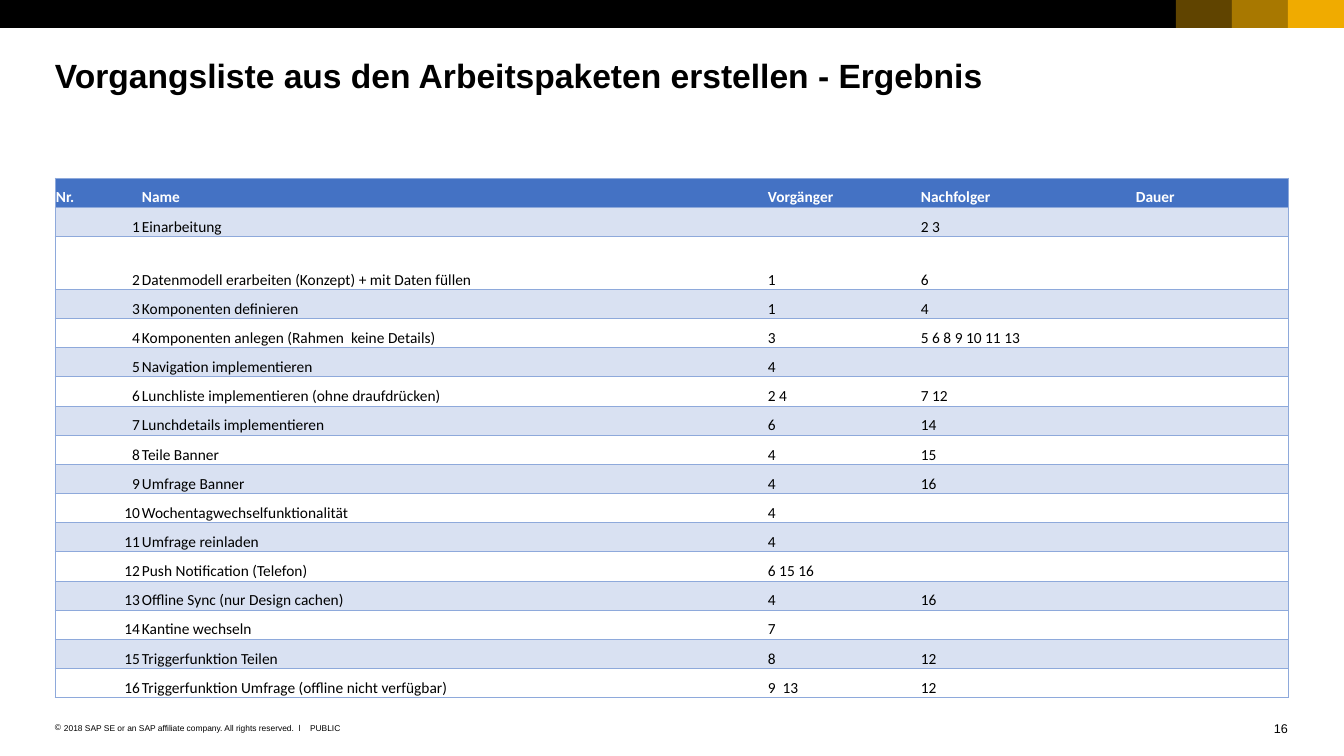
from pptx import Presentation
from pptx import util as u
from pptx.dml.color import RGBColor
from pptx.enum import shapes, text
from pptx.oxml.ns import qn
from lxml import etree

PX = 9075
BLACK = RGBColor(0x00, 0x00, 0x00)
WHITE = RGBColor(0xFF, 0xFF, 0xFF)
GOLD = RGBColor(0xF0, 0xAB, 0x00)
BLUE = RGBColor(0x44, 0x72, 0xC4)
PALE_BLUE = RGBColor(0xD9, 0xE1, 0xF2)
BORDER_BLUE = RGBColor(0x8E, 0xA9, 0xDB)
NO_STYLE = "{2D5ABB26-0587-4C30-8999-92F81FD0307C}"

HEADER = ("Nr.", "Name", "Vorgänger", "Nachfolger", "Dauer")
TASKS = (
    ("Einarbeitung", "", "2 3"),
    ("Datenmodell erarbeiten (Konzept) + mit Daten füllen", "1", "6"),
    ("Komponenten definieren", "1", "4"),
    ("Komponenten anlegen (Rahmen  keine Details)", "3", "5 6 8 9 10 11 13"),
    ("Navigation implementieren", "4", ""),
    ("Lunchliste implementieren (ohne draufdrücken)", "2 4", "7 12"),
    ("Lunchdetails implementieren", "6", "14"),
    ("Teile Banner", "4", "15"),
    ("Umfrage Banner", "4", "16"),
    ("Wochentagwechselfunktionalität", "4", ""),
    ("Umfrage reinladen", "4", ""),
    ("Push Notification (Telefon)", "6 15 16", ""),
    ("Offline Sync (nur Design cachen)", "4", "16"),
    ("Kantine wechseln", "7", ""),
    ("Triggerfunktion Teilen", "8", "12"),
    ("Triggerfunktion Umfrage (offline nicht verfügbar)", "9  13", "12"),
)
COLUMN_WIDTHS = (86, 626, 153, 215, 153)
TABLE_HEIGHT = 520
TALL_ROW, TALL_HEIGHT = 2, 53


def px(length):
    return u.Emu(length * PX)


def child(parent, tag, **attributes):
    return etree.SubElement(parent, qn(tag), attributes)


def add_span(para, words, size, font, color, bold=False):
    span = para.add_run()
    span.text = words
    span.font.size = u.Pt(size)
    span.font.name = font
    span.font.bold = bold
    span.font.color.rgb = color


def add_text(page, place, words, size, bold=False, align=text.PP_ALIGN.LEFT, wrap=True):
    box = page.shapes.add_textbox(*map(px, place))
    frame = box.text_frame
    frame.word_wrap = wrap
    frame.margin_left = frame.margin_right = frame.margin_top = frame.margin_bottom = 0
    para = frame.paragraphs[0]
    para.alignment = align
    add_span(para, words, size, "Arial", BLACK, bold)
    return para


def add_bullet(para, sign, indent):
    properties = para._p.get_or_add_pPr()
    properties.set("marL", str(px(indent)))
    properties.set("indent", str(-px(indent)))
    child(child(properties, "a:buClr"), "a:srgbClr", val=str(BLACK))
    child(properties, "a:buFont", typeface="Arial")
    child(properties, "a:buChar", char=sign)


def add_band(page, left, width, color, opacity=100):
    band = page.shapes.add_shape(
        shapes.MSO_SHAPE.RECTANGLE, px(left), 0, px(width), px(28))
    band.shadow.inherit = False
    band.line.fill.background()
    band.fill.solid()
    band.fill.fore_color.rgb = color
    if opacity < 100:
        tone = band._element.spPr.find(".//" + qn("a:srgbClr"))
        child(tone, "a:alpha", val=str(opacity * 1000))


def add_border(cell, side):
    line = child(cell._tc.get_or_add_tcPr(), "a:ln" + side, w=str(u.Pt(0.5)))
    child(child(line, "a:solidFill"), "a:srgbClr", val=str(BORDER_BLUE))


def fill_cell(cell, words, row, column):
    last = len(COLUMN_WIDTHS) - 1
    sides = {0: "LTB", last: "RTB"}.get(column, "TB")
    for side in sides:
        add_border(cell, side)
    if row == 0:
        cell.fill.solid()
        cell.fill.fore_color.rgb = BLUE
    elif row % 2:
        cell.fill.solid()
        cell.fill.fore_color.rgb = PALE_BLUE
    else:
        cell.fill.background()
    cell.margin_left = cell.margin_right = cell.margin_top = px(1)
    cell.margin_bottom = 0
    cell.vertical_anchor = text.MSO_ANCHOR.BOTTOM
    para = cell.text_frame.paragraphs[0]
    if row and column == 0:
        para.alignment = text.PP_ALIGN.RIGHT
    if words:
        add_span(para, words, 11, "Calibri", BLACK if row else WHITE, row == 0)
    else:
        child(para._p, "a:endParaRPr", sz="1100")


def add_task_table(page):
    rows = [HEADER] + [(str(n), *task, "") for n, task in enumerate(TASKS, 1)]
    table = page.shapes.add_table(
        len(rows), len(HEADER), px(55), px(178),
        px(sum(COLUMN_WIDTHS)), px(TABLE_HEIGHT)).table
    table.first_row = table.horz_banding = False
    table._tbl.tblPr.find(qn("a:tableStyleId")).text = NO_STYLE
    for column, width in zip(table.columns, COLUMN_WIDTHS):
        column.width = px(width)
    row_height = px(TABLE_HEIGHT - TALL_HEIGHT) // (len(rows) - 1)
    for r, values in enumerate(rows):
        table.rows[r].height = px(TALL_HEIGHT) if r == TALL_ROW else row_height
        for c, words in enumerate(values):
            fill_cell(table.cell(r, c), words, r, c)


def main():
    deck = Presentation()
    deck.slide_width, deck.slide_height = px(1344), px(756)
    page = deck.slides.add_slide(deck.slide_layouts[6])

    add_band(page, 0, 1344, BLACK)
    for step, opacity in enumerate((40, 70, 100)):
        add_band(page, 1176 + step * 56, 56, GOLD, opacity)

    add_text(page, (55, 55, 1233, 40),
             "Vorgangsliste aus den Arbeitspaketen erstellen - Ergebnis", 24, bold=True)
    add_task_table(page)

    notice = add_text(
        page, (55, 723, 250, 10),
        "2018 SAP SE or an SAP affiliate company. All rights reserved.  ǀ", 6)
    add_bullet(notice, "©", 9)
    add_text(page, (310, 723, 31, 10), "PUBLIC", 6, wrap=False)
    add_text(page, (1273, 721, 15, 15), "16", 9,
             align=text.PP_ALIGN.RIGHT, wrap=False)
    deck.save("out.pptx")


if __name__ == "__main__":
    main()
